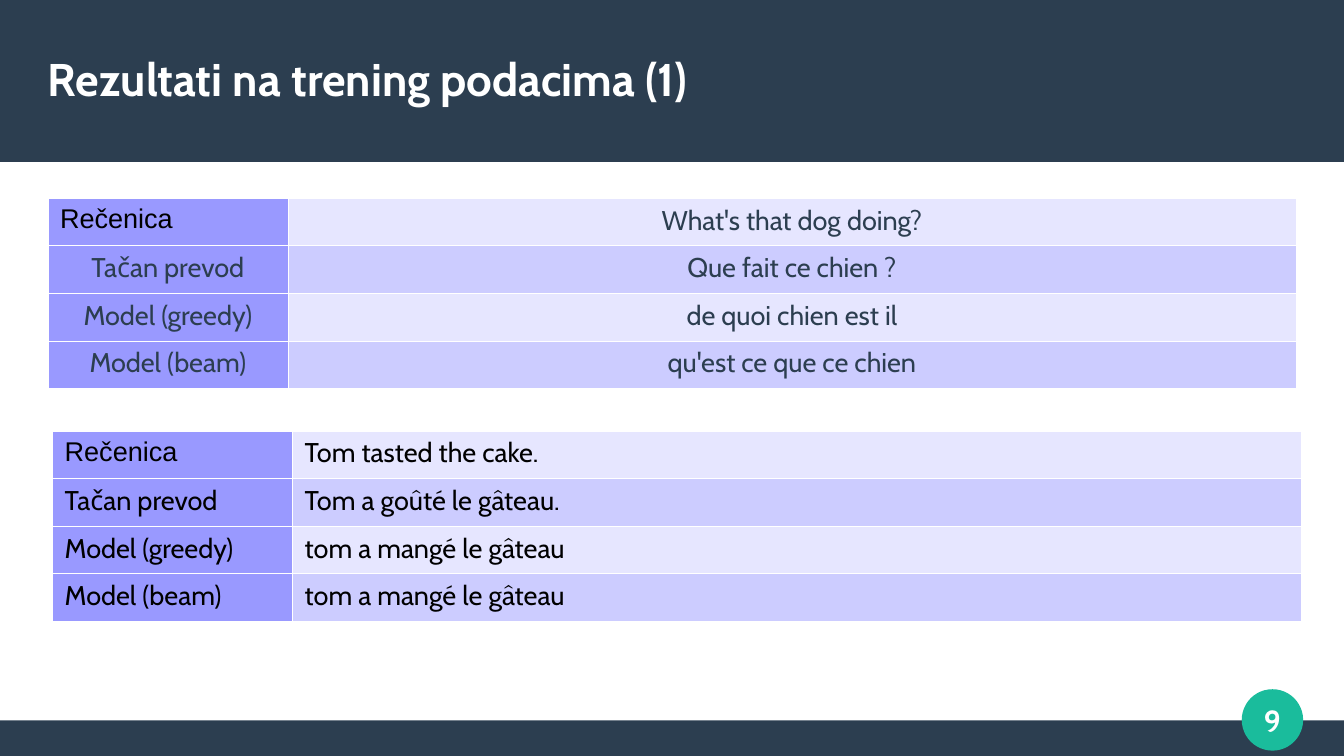
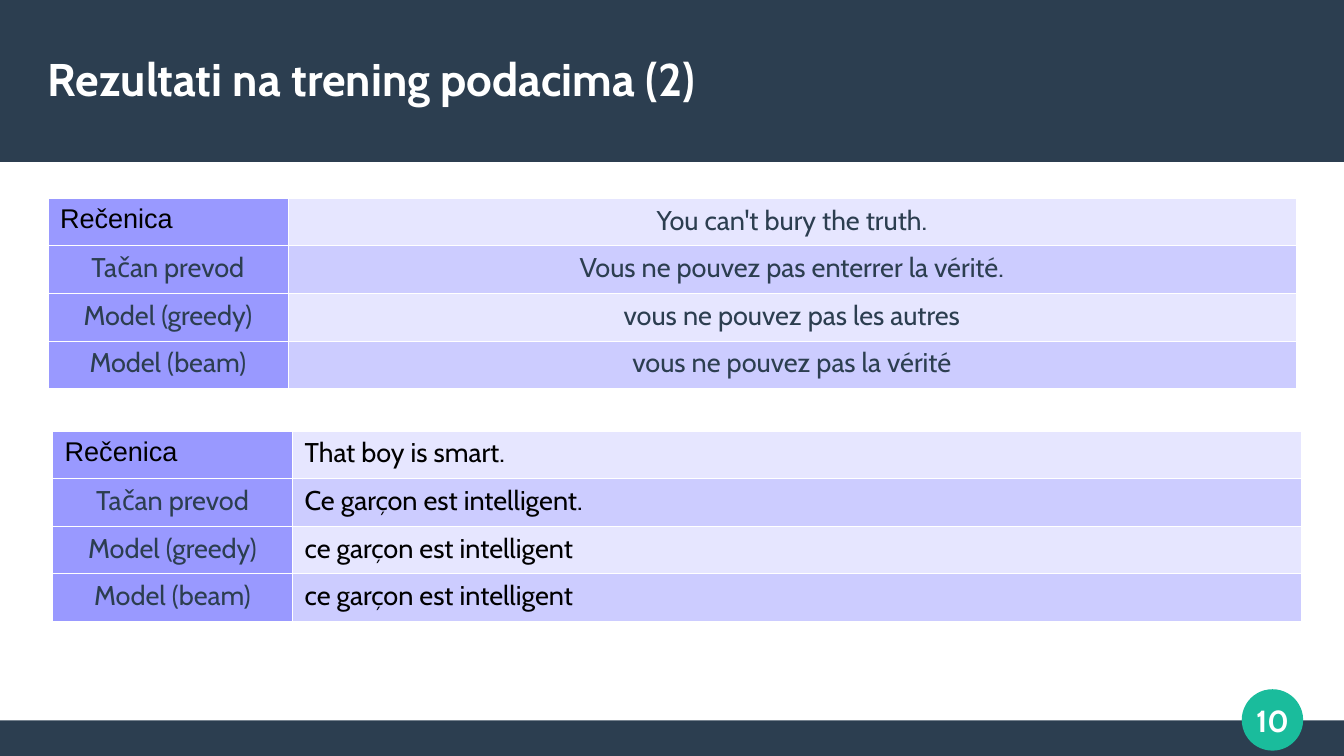
from dataclasses import dataclass

from lxml.etree import SubElement
from pptx import Presentation
from pptx.dml.color import RGBColor
from pptx.enum.shapes import MSO_SHAPE
from pptx.enum.text import MSO_ANCHOR, MSO_AUTO_SIZE, PP_ALIGN
from pptx.oxml.ns import qn
from pptx.util import Pt


@dataclass(frozen=True)
class Theme:
    navy: str = "2C3E50"
    teal: str = "1ABC9C"
    white: str = "FFFFFF"
    black: str = "000000"
    label_fill: str = "9999FF"
    row_fills: tuple = ("E6E6FF", "CCCCFF")
    font: str = "Cabin"
    corner_font: str = "Arial"
    title_size: float = 27
    number_size: float = 18
    cell_size: float = 16
    border_width: float = 0.06


THEME = Theme()

# Layout, in points
SLIDE_W, SLIDE_H = 793.44, 446.4
HEADER_H, FOOTER_TOP = 95.7, 425.4
MARGIN = 28.3
CONTENT_W = SLIDE_W - 2 * MARGIN
LABEL_W, ROW_H = 141.7, 28.1
BADGE_LEFT, BADGE_TOP, BADGE_SIZE = 733.5, 407.4, 35.4
TABLE_SPOTS = ((MARGIN, 116.9), (31, 254.4))

ROW_LABELS = ("Rečenica", "Tačan prevod", "Model (greedy)", "Model (beam)")

# Look of a column: alignment and text colour
CENTERED = (PP_ALIGN.CENTER, THEME.navy)
PLAIN = (PP_ALIGN.LEFT, THEME.black)

# Per slide: title, then (label look, sentence look, sentences) for each table
RESULTS = (
    ("Rezultati na trening podacima (1)", (
        (CENTERED, CENTERED, ("What's that dog doing?", "Que fait ce chien ?",
                              "de quoi chien est il", "qu'est ce que ce chien")),
        (PLAIN, PLAIN, ("Tom tasted the cake.", "Tom a goûté le gâteau.",
                        "tom a mangé le gâteau", "tom a mangé le gâteau")),
    )),
    ("Rezultati na trening podacima (2)", (
        (CENTERED, CENTERED, ("You can't bury the truth.",
                              "Vous ne pouvez pas enterrer la vérité.",
                              "vous ne pouvez pas les autres",
                              "vous ne pouvez pas la vérité")),
        (CENTERED, PLAIN, ("That boy is smart.", "Ce garçon est intelligent.",
                           "ce garçon est intelligent", "ce garçon est intelligent")),
    )),
)
FIRST_NUMBER = 9


def style_paragraph(paragraph, size, color, align, font=THEME.font, bold=False):
    paragraph.alignment = align
    paragraph.font.name = font
    paragraph.font.size = Pt(size)
    paragraph.font.bold = bold
    paragraph.font.color.rgb = RGBColor.from_string(color)


def clear_insets(frame):
    frame.margin_left = frame.margin_right = frame.margin_top = frame.margin_bottom = 0
    frame.vertical_anchor = MSO_ANCHOR.MIDDLE


def add_solid(slide, kind, left, top, width, height, color):
    solid = slide.shapes.add_shape(kind, Pt(left), Pt(top), Pt(width), Pt(height))
    solid.shadow.inherit = False
    solid.fill.solid()
    solid.fill.fore_color.rgb = RGBColor.from_string(color)
    solid.line.fill.background()
    return solid


def add_frame(slide, number):
    # Header and footer bands
    for top, height in ((FOOTER_TOP, SLIDE_H - FOOTER_TOP), (0, HEADER_H)):
        add_solid(slide, MSO_SHAPE.RECTANGLE, 0, top, SLIDE_W, height, THEME.navy)
    # Slide number badge
    badge = add_solid(slide, MSO_SHAPE.OVAL, BADGE_LEFT, BADGE_TOP,
                      BADGE_SIZE, BADGE_SIZE, THEME.teal)
    badge.line.color.rgb = RGBColor.from_string(THEME.teal)
    badge.line.width = Pt(0.85)
    clear_insets(badge.text_frame)
    badge.text_frame.word_wrap = False
    badge.text_frame.text = str(number)
    style_paragraph(badge.text_frame.paragraphs[0], THEME.number_size,
                    THEME.white, PP_ALIGN.CENTER, bold=True)


def set_title(slide, text):
    title = slide.shapes.title
    title.left, title.top = Pt(MARGIN), Pt(18)
    title.width, title.height = Pt(CONTENT_W), Pt(56.7)
    clear_insets(title.text_frame)
    title.text_frame.auto_size = MSO_AUTO_SIZE.NONE
    title.text_frame.text = text
    style_paragraph(title.text_frame.paragraphs[0], THEME.title_size,
                    THEME.white, PP_ALIGN.LEFT, bold=True)
    # Bring the title in front of the header band
    title.element.getparent().append(title.element)


def set_borders(cell):
    properties = cell._tc.get_or_add_tcPr()
    for position, side in enumerate(("lnL", "lnR", "lnT", "lnB")):
        border = SubElement(properties, qn(f"a:{side}"), w=str(Pt(THEME.border_width)))
        fill = SubElement(border, qn("a:solidFill"))
        SubElement(fill, qn("a:srgbClr"), val=THEME.white)
        # Borders must precede the cell fill
        properties.insert(position, border)


def fill_cell(cell, text, fill, look, font=THEME.font):
    align, color = look
    cell.text = text
    cell.fill.solid()
    cell.fill.fore_color.rgb = RGBColor.from_string(fill)
    style_paragraph(cell.text_frame.paragraphs[0], THEME.cell_size, color, align, font)
    set_borders(cell)


def add_results(slide, spot, label_look, sentence_look, sentences):
    left, top = spot
    results = slide.shapes.add_table(len(ROW_LABELS), 2, Pt(left), Pt(top), Pt(CONTENT_W),
                                     Pt(ROW_H * len(ROW_LABELS))).table
    results.first_row = results.horz_banding = False
    results.columns[0].width = Pt(LABEL_W)
    results.columns[1].width = Pt(CONTENT_W - LABEL_W)
    for row, (label, sentence) in enumerate(zip(ROW_LABELS, sentences)):
        results.rows[row].height = Pt(ROW_H)
        # The corner label keeps its own plain look
        look, font = (label_look, THEME.font) if row else (PLAIN, THEME.corner_font)
        fill_cell(results.cell(row, 0), label, THEME.label_fill, look, font)
        fill_cell(results.cell(row, 1), sentence, THEME.row_fills[row % 2], sentence_look)


def main():
    deck = Presentation()
    deck.slide_width, deck.slide_height = Pt(SLIDE_W), Pt(SLIDE_H)
    title_only = deck.slide_layouts[5]
    for number, (title, tables) in enumerate(RESULTS, FIRST_NUMBER):
        slide = deck.slides.add_slide(title_only)
        add_frame(slide, number)
        set_title(slide, title)
        for spot, content in zip(TABLE_SPOTS, tables):
            add_results(slide, spot, *content)
    deck.save("out.pptx")


if __name__ == "__main__":
    main()
